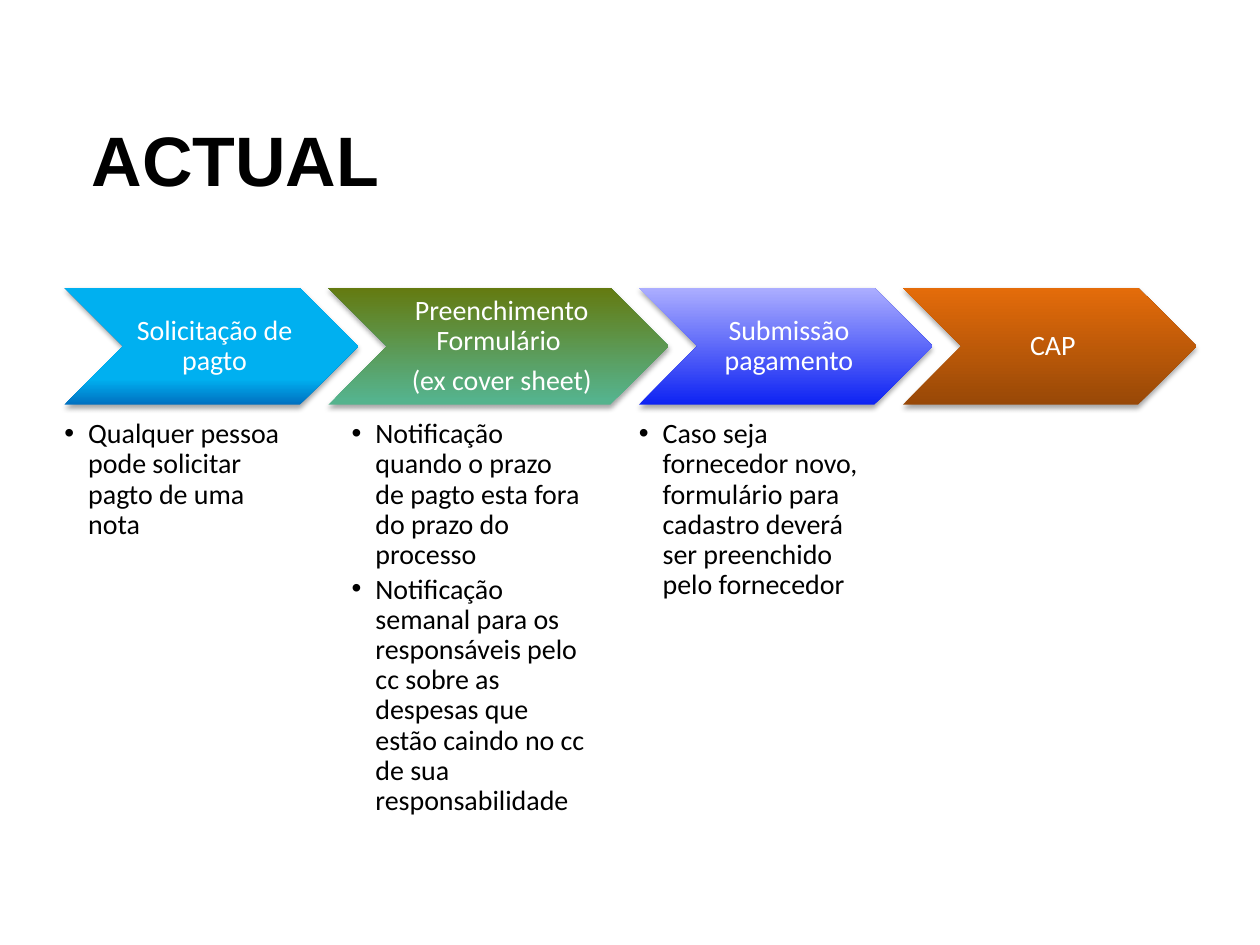
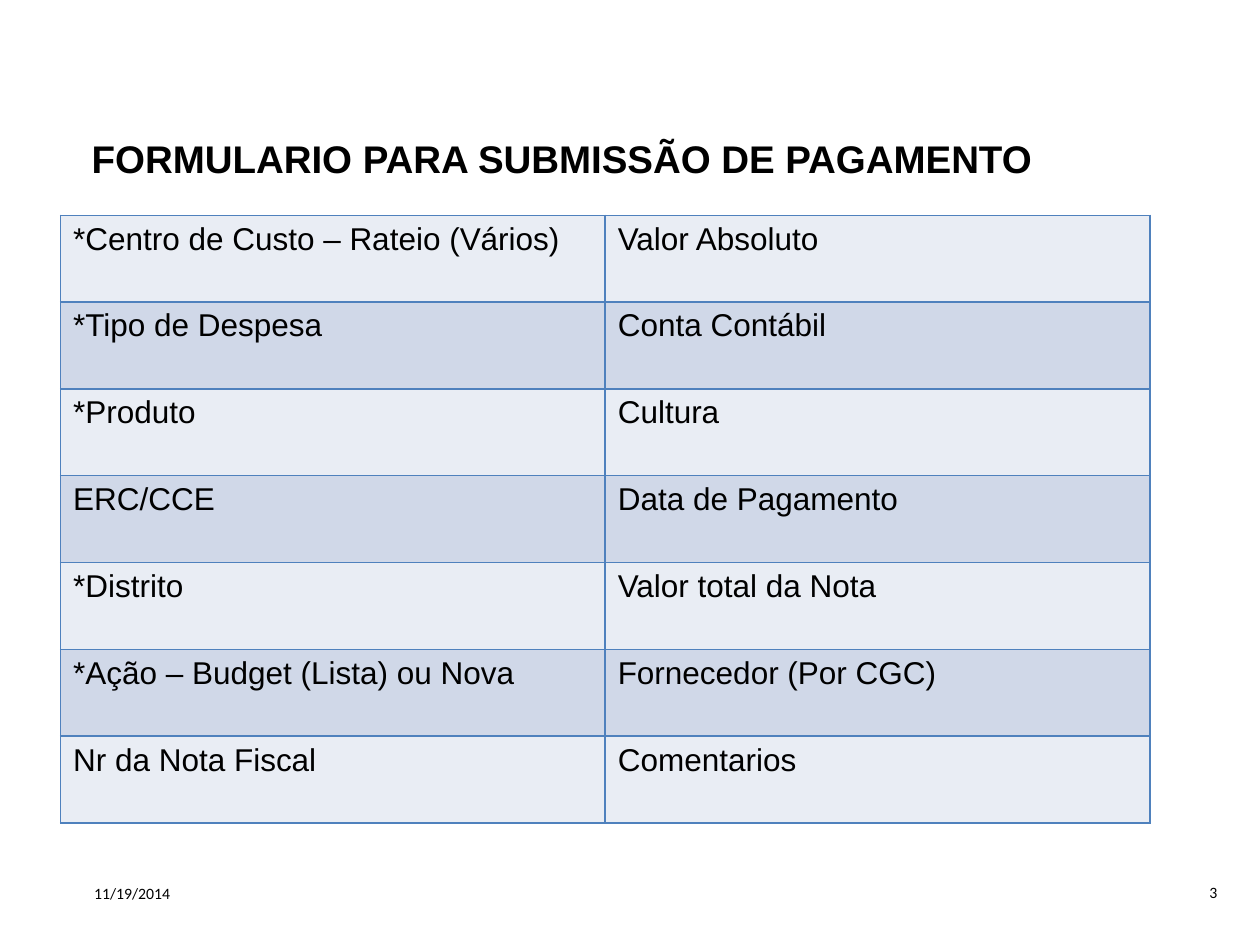
"""Build two slides: a payment flow of chevrons and a form table."""
from dataclasses import dataclass

from lxml.etree import SubElement
from pptx import Presentation
from pptx.dml.color import RGBColor
from pptx.enum.shapes import MSO_SHAPE
from pptx.enum.text import MSO_ANCHOR, PP_ALIGN
from pptx.oxml.ns import qn
from pptx.slide import Slide
from pptx.util import Cm, Pt

COLORS = {
    "text": "000000", "label": "FFFFFF", "border": "4F81BD",
    "light": "E9EDF4", "dark": "D0D8E8",
    "sky": "00B0F0", "navy": "0070C0", "olive": "647A10", "mint": "55B38D",
    "lilac": "ACAEFF", "blue": "0E23F3", "orange": "E46C0A", "brown": "984807",
}
LEFT, TOP, TALL, WIDE, LAP = 1.3, 5.8, 2.36, 5.92, 0.6
INSETS = (0.18, 0.05, 0.05, 0.05)
PLAIN = (0.25, 0.13, 0.25, 0.13)


@dataclass
class Style:
    """Hold how a block of text looks."""
    size: float
    font: str = "Calibri"
    color: str = "text"
    bold: bool = False
    align: PP_ALIGN = PP_ALIGN.LEFT
    anchor: MSO_ANCHOR = MSO_ANCHOR.MIDDLE
    pads: tuple[float, ...] = PLAIN
    line: float = 1.0
    after: float = 0
    bullet: bool = False


@dataclass
class Step:
    """Hold one chevron, its label and its notes."""
    label: list[str]
    low: tuple[str, float]
    high: tuple[str, float]
    notes: list[str]
    wide: float = WIDE


LABEL = Style(16, color="label", align=PP_ALIGN.CENTER, pads=INSETS,
              line=0.9, after=5.6)
NOTES = Style(16, anchor=MSO_ANCHOR.TOP, pads=(0, 0, 0, 0), line=0.9,
              after=2.4, bullet=True)
CELL = Style(18, "Arial", anchor=MSO_ANCHOR.TOP)
FOOT = Style(9)
PAGE = Style(9, align=PP_ALIGN.RIGHT)

STEPS = [
    Step(["Solicitação de pagto"], ("navy", 0), ("sky", 0.22),
         ["Qualquer pessoa pode solicitar pagto de uma nota"]),
    Step(["Preenchimento Formulário ", "(ex cover sheet)"],
         ("mint", 0.04), ("olive", 1),
         ["Notificação quando o prazo de pagto esta fora do prazo do processo",
          "Notificação semanal para os responsáveis pelo cc sobre as despesas "
          "que estão caindo no cc de sua responsabilidade"], 6.86),
    Step(["Submissão pagamento"], ("blue", 0), ("lilac", 1),
         ["Caso seja fornecedor novo, formulário para cadastro deverá ser "
          "preenchido pelo fornecedor"]),
    Step(["CAP"], ("brown", 0), ("orange", 1), []),
]
ROWS = [
    ("*Centro de Custo – Rateio (Vários)", "Valor Absoluto"),
    ("*Tipo de Despesa", "Conta Contábil"),
    ("*Produto", "Cultura"),
    ("ERC/CCE", "Data de Pagamento"),
    ("*Distrito", "Valor total da Nota"),
    ("*Ação – Budget (Lista) ou Nova", "Fornecedor (Por CGC)"),
    ("Nr da Nota Fiscal", "Comentarios"),
]


def tint(name: str) -> RGBColor:
    """Return a named colour."""
    return RGBColor.from_string(COLORS[name])


def write(frame, lines: list[str], style: Style) -> None:
    """Fill a text frame with styled paragraphs."""
    for num, line in enumerate(lines):
        para = frame.paragraphs[0] if num == 0 else frame.add_paragraph()
        para.text = line
        para.alignment = style.align
        para.line_spacing = style.line
        para.space_after = Pt(style.after)
        if style.bullet:
            props = para._p.get_or_add_pPr()
            props.set("marL", str(Cm(0.48)))
            props.set("indent", str(-Cm(0.48)))
            SubElement(props, qn("a:buFont"), typeface="Arial")
            SubElement(props, qn("a:buChar"), char="•")
        font = para.font
        font.size, font.name, font.bold = Pt(style.size), style.font, style.bold
        font.color.rgb = tint(style.color)


def place(slide: Slide, box: tuple[float, ...], lines: list[str],
          style: Style) -> None:
    """Add a text box; its place and size are in centimetres."""
    frame = slide.shapes.add_textbox(*map(Cm, box)).text_frame
    frame.word_wrap = True
    frame.vertical_anchor = style.anchor
    (frame.margin_left, frame.margin_top,
     frame.margin_right, frame.margin_bottom) = map(Cm, style.pads)
    write(frame, lines, style)


def head(slide: Slide, text: str, size: float) -> None:
    """Add the slide title."""
    place(slide, (1.6, 1.6, 22.86, 3.18), [text],
          Style(size, "Arial", bold=True))


def arrow(slide: Slide, left: float, step: Step) -> None:
    """Draw a chevron with a gradient and a soft shadow."""
    shape = slide.shapes.add_shape(
        MSO_SHAPE.CHEVRON, *map(Cm, (left, TOP, step.wide, TALL)))
    shape.line.fill.background()
    shape.fill.gradient()
    shape.fill.gradient_angle = 90
    for stop, (name, pos) in zip(shape.fill.gradient_stops,
                                 (step.low, step.high)):
        stop.color.rgb = tint(name)
        stop.position = pos
    shape.shadow.inherit = False
    shade = SubElement(
        shape._element.spPr.find(qn("a:effectLst")), qn("a:outerShdw"),
        blurRad=str(Pt(3.1)), dist=str(Pt(1.8)), dir="5400000",
        rotWithShape="0")
    color = SubElement(shade, qn("a:srgbClr"), val=COLORS["text"])
    SubElement(color, qn("a:alpha"), val="35000")


def flow(slide: Slide) -> None:
    """Draw the steps from left to right."""
    left = LEFT
    for step in STEPS:
        arrow(slide, left, step)
        place(slide, (left + TALL / 2, TOP, step.wide - TALL, TALL),
              step.label, LABEL)
        if step.notes:
            place(slide, (left + (step.wide - WIDE) / 2, 8.46, WIDE * 0.8, 8.2),
                  step.notes, NOTES)
        left += step.wide - LAP


def edge(cell) -> None:
    """Draw the four borders of a cell."""
    props = cell._tc.get_or_add_tcPr()
    for side in ("lnL", "lnR", "lnT", "lnB"):
        line = SubElement(props, qn(f"a:{side}"), w=str(Pt(1)))
        fill = SubElement(line, qn("a:solidFill"))
        SubElement(fill, qn("a:srgbClr"), val=COLORS["border"])


def form(slide: Slide) -> None:
    """Draw the table of form fields."""
    table = slide.shapes.add_table(
        len(ROWS), 2, *map(Cm, (1.22, 4.34, 21.96, 12.25))).table
    table.first_row = table.horz_banding = False
    for row, texts in enumerate(ROWS):
        for col, text in enumerate(texts):
            cell = table.cell(row, col)
            edge(cell)
            cell.fill.solid()
            cell.fill.fore_color.rgb = tint("dark" if row % 2 else "light")
            write(cell.text_frame, [text], CELL)


def main() -> None:
    """Build and save the deck."""
    deck = Presentation()
    deck.slide_width, deck.slide_height = Cm(25.4), Cm(19.05)
    first, second = (deck.slides.add_slide(deck.slide_layouts[6])
                     for _ in range(2))
    head(first, "ACTUAL", 40)
    flow(first)
    head(second, "FORMULARIO PARA SUBMISSÃO DE PAGAMENTO", 22)
    place(second, (1.65, 17.5, 5.6, 1.02), ["11/19/2014"], FOOT)
    place(second, (23.16, 17.48, 1.63, 1.02), ["3"], PAGE)
    form(second)
    deck.save("out.pptx")


main()
